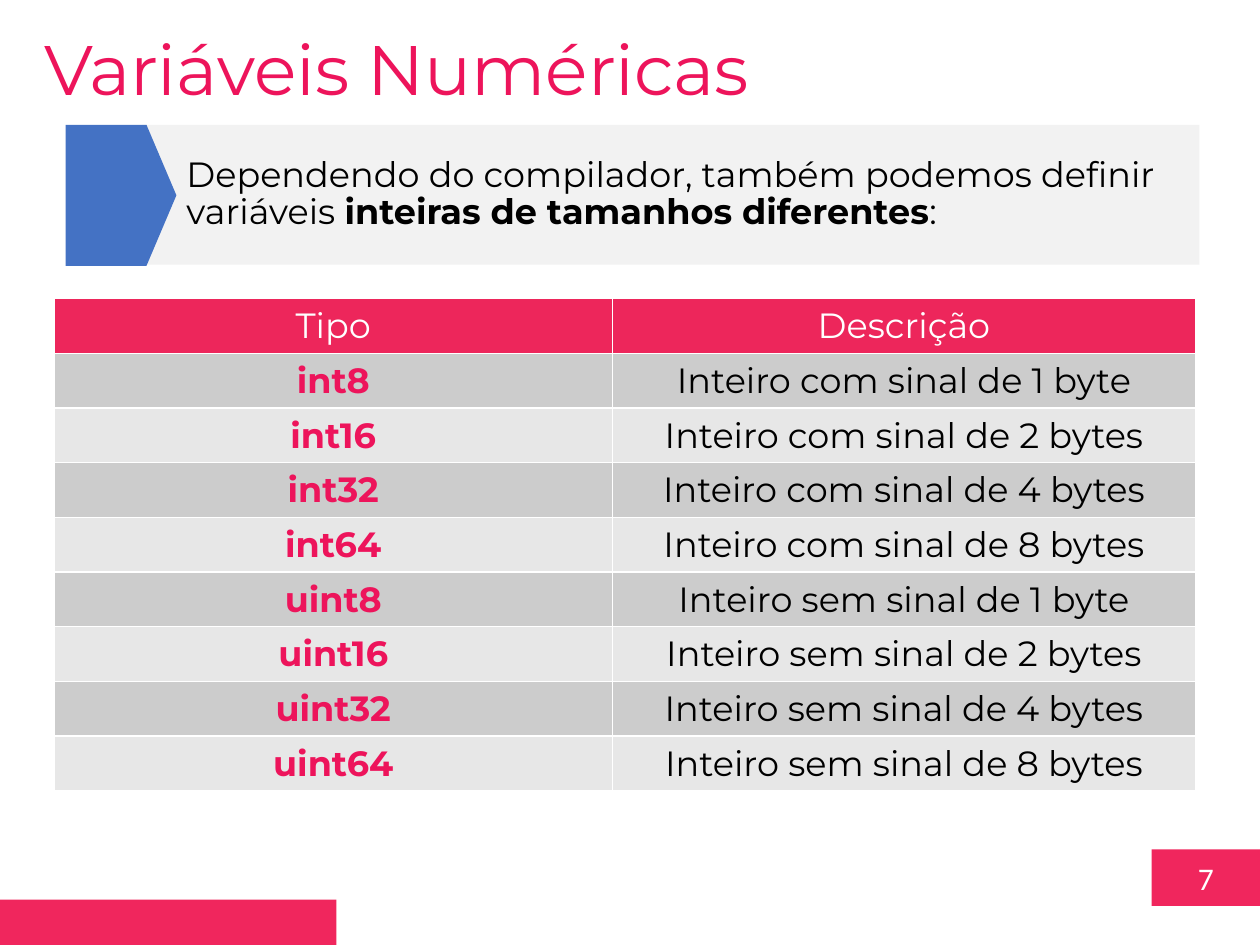
from typing import NamedTuple

from pptx import Presentation
from pptx.dml.color import RGBColor
from pptx.enum import shapes, text
from pptx.util import Inches, Pt

PINK = RGBColor(0xED, 0x14, 0x5B)
BAR_PINK = RGBColor(0xF0, 0x26, 0x5D)
HEADER_PINK = RGBColor(0xED, 0x26, 0x5B)
BLUE = RGBColor(0x44, 0x72, 0xC4)
PALE = RGBColor(0xF2, 0xF2, 0xF2)
BANDS = (RGBColor(0xCC, 0xCC, 0xCC), RGBColor(0xE7, 0xE7, 0xE7))
WHITE = RGBColor(0xFF, 0xFF, 0xFF)
BLACK = RGBColor(0, 0, 0)
FONT = "Montserrat"
RECT = shapes.MSO_SHAPE.RECTANGLE


class Block(NamedTuple):
    left: float
    top: float
    width: float
    height: float
    fill: RGBColor
    kind: shapes.MSO_SHAPE = RECT


class IntType(NamedTuple):
    name: str
    description: str


PAGE_BOX = Block(9.14, 6.74, 0.86, 0.45, BAR_PINK)
FOOTER_BAR = Block(0, 7.14, 2.67, 0.36, BAR_PINK)
CALLOUT = Block(1.13, 0.99, 8.39, 1.11, PALE)
CALLOUT_TAB = Block(0.52, 0.99, 0.88, 1.12, BLUE, shapes.MSO_SHAPE.PENTAGON)

INT_TYPES = [
    IntType(f"{prefix}{8 * size}",
            f"Inteiro {sign} sinal de {size} byte{'s' if size > 1 else ''}")
    for prefix, sign in (("int", "com"), ("uint", "sem"))
    for size in (1, 2, 4, 8)
]


def add_block(slide, block: Block):
    sp = slide.shapes.add_shape(
        block.kind, Inches(block.left), Inches(block.top),
        Inches(block.width), Inches(block.height))
    sp.shadow.inherit = False
    sp.fill.solid()
    sp.fill.fore_color.rgb = block.fill
    sp.line.fill.background()
    return sp


def set_font(p, size: float, color: RGBColor, name: str = FONT, bold: bool = False) -> None:
    p.font.name = name
    p.font.size = Pt(size)
    p.font.color.rgb = color
    p.font.bold = bold


def fill_cell(cell, label: str, fill: RGBColor, color: RGBColor, bold: bool = False) -> None:
    cell.fill.solid()
    cell.fill.fore_color.rgb = fill
    cell.text = label
    p = cell.text_frame.paragraphs[0]
    p.alignment = text.PP_ALIGN.CENTER
    set_font(p, 20, color, bold=bold)


def add_title(slide, title: str) -> None:
    sp = slide.shapes.title
    sp.left, sp.top, sp.width, sp.height = map(Inches, (0.25, 0.15, 6.92, 0.77))
    tf = sp.text_frame
    tf.text = title
    tf.vertical_anchor = text.MSO_ANCHOR.TOP
    tf.auto_size = text.MSO_AUTO_SIZE.SHAPE_TO_FIT_TEXT
    p = tf.paragraphs[0]
    p.alignment = text.PP_ALIGN.LEFT
    set_font(p, 40, PINK)


def add_type_table(slide) -> None:
    rows = len(INT_TYPES) + 1
    table = slide.shapes.add_table(
        rows, 2, Inches(0.43), Inches(2.37), Inches(9.06), Inches(3.9)).table
    for column, width in zip(table.columns, (4.43, 4.63)):
        column.width = Inches(width)
    for col, heading in enumerate(("Tipo", "Descrição")):
        fill_cell(table.cell(0, col), heading, HEADER_PINK, WHITE)
    for row, item in enumerate(INT_TYPES, start=1):
        band = BANDS[(row - 1) % 2]
        fill_cell(table.cell(row, 0), item.name, band, PINK, bold=True)
        fill_cell(table.cell(row, 1), item.description, band, BLACK)


def add_callout(slide) -> None:
    tf = add_block(slide, CALLOUT).text_frame
    tf.word_wrap = True
    tf.vertical_anchor = text.MSO_ANCHOR.MIDDLE
    tf.margin_left = Inches(0.35)
    tf.margin_top = tf.margin_right = tf.margin_bottom = 0
    p = tf.paragraphs[0]
    p.alignment = text.PP_ALIGN.LEFT
    p.line_spacing = 0.9
    set_font(p, 20, BLACK)
    for words, bold in (
        ("Dependendo do compilador, também podemos definir variáveis ", False),
        ("inteiras de tamanhos diferentes", True),
        (":", False),
    ):
        r = p.add_run()
        r.text = words
        r.font.bold = bold
    add_block(slide, CALLOUT_TAB).adjustments[0] = 0.27


def add_footer(slide, number: int) -> None:
    tf = add_block(slide, PAGE_BOX).text_frame
    tf.text = str(number)
    tf.vertical_anchor = text.MSO_ANCHOR.MIDDLE
    p = tf.paragraphs[0]
    p.alignment = text.PP_ALIGN.CENTER
    set_font(p, 18, WHITE, name="Calibri")
    add_block(slide, FOOTER_BAR)


def main() -> None:
    prs = Presentation()
    prs.slide_width, prs.slide_height = Inches(10), Inches(7.5)
    slide = prs.slides.add_slide(prs.slide_layouts[5])
    add_footer(slide, 7)
    add_title(slide, "Variáveis Numéricas")
    add_type_table(slide)
    add_callout(slide)
    prs.save("out.pptx")


if __name__ == "__main__":
    main()
